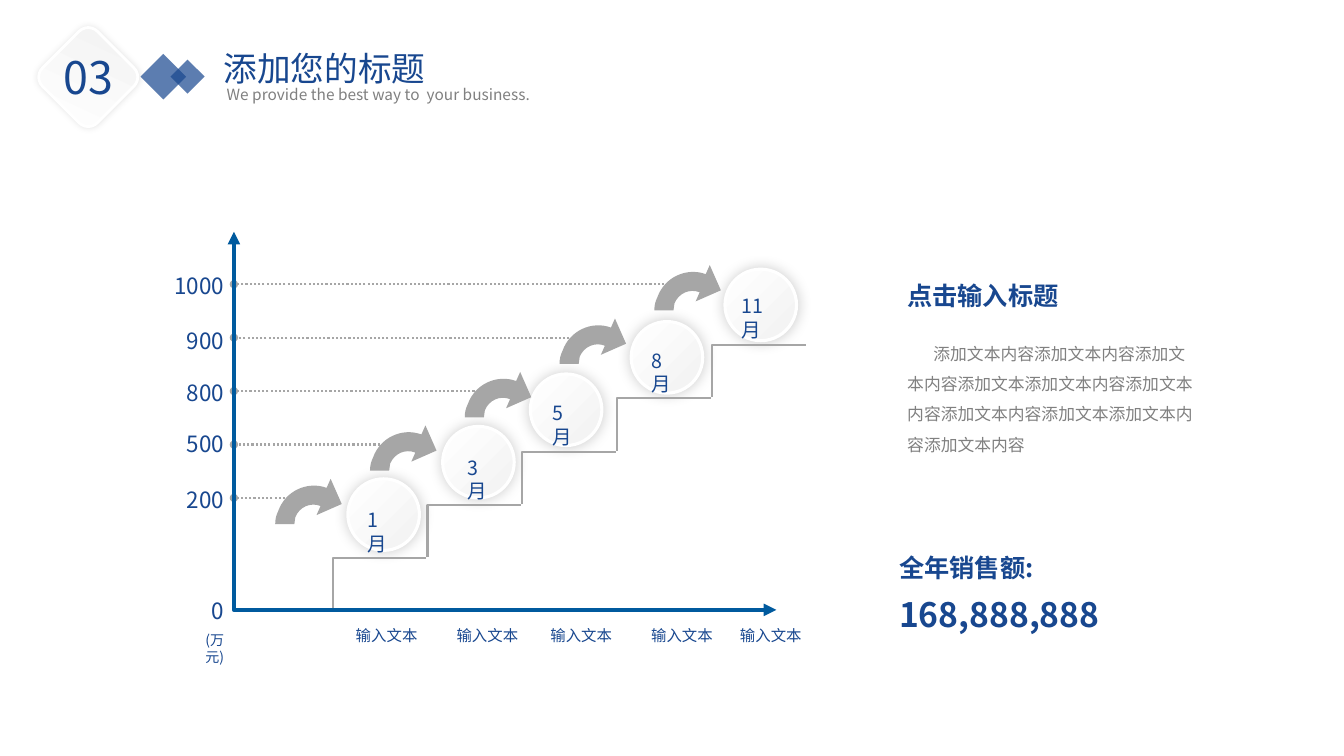
import lxml.etree
import pptx
import pptx.dml.color
import pptx.enum.dml
import pptx.enum.shapes
import pptx.enum.text
import pptx.oxml
import pptx.oxml.ns
import pptx.util

Inches = pptx.util.Inches
Pt = pptx.util.Pt
SHAPES = pptx.enum.shapes.MSO_SHAPE
ALIGN = pptx.enum.text.PP_ALIGN
FONT = "Noto Sans CJK SC"
BLUE, AXIS_BLUE, GRAY, TEXT_GRAY = "18478F", "005A9E", "A6A6A6", "808080"
STEP_WIDTH, STEP_HEIGHT = 0.94, 0.53
MONTHS = [
    ("1月", 3.45, 3.55, 4.99, 3.43),
    ("3月", 4.39, 4.54, 4.47, 4.43),
    ("5月", 5.26, 5.38, 3.93, 5.36),
    ("8月", 6.26, 6.36, 3.41, 6.36),
    ("11月", 7.19, 7.26, 2.87, 7.24),
]
AXIS_LABELS = [("1000", 2.65), ("900", 3.2), ("800", 3.71), ("500", 4.22), ("200", 4.77), ("0", 5.87)]
ARROW_POINTS = [
    (0.45, 0.27), (0.35, 0.23), (0.24, 0.28), (0.2, 0.38), (0.2, 0.4), (0.19, 0.43), (0.19, 0.45),
    (0, 0.45), (0, 0.4), (0.01, 0.36), (0.03, 0.32), (0.1, 0.12), (0.32, 0.02), (0.51, 0.09),
    (0.55, 0), (0.66, 0.25), (0.41, 0.36),
]
ARROW_CURVE_STARTS = (0, 3, 7, 10)


def color(value):
    """Turn a hex string into a colour."""
    return pptx.dml.color.RGBColor.from_string(value)


def add_xml(parent, tag, **attributes):
    """Append a drawing element to a parent element."""
    element = lxml.etree.SubElement(parent, pptx.oxml.ns.qn(tag))
    for name, value in attributes.items():
        element.set(name, str(value))
    return element


def add_text(slide, box, text, size, hex_color=BLUE, bold=False, align=ALIGN.LEFT, wrap=False):
    """Place one paragraph of text and return it."""
    shape = slide.shapes.add_textbox(*map(Inches, box))
    shape.text_frame.word_wrap = wrap
    paragraph = shape.text_frame.paragraphs[0]
    paragraph.text = text
    paragraph.alignment = align
    font = paragraph.font
    font.name, font.size, font.bold = FONT, Pt(size), bold
    font.color.rgb = color(hex_color)
    properties = paragraph._p.get_or_add_pPr().find(pptx.oxml.ns.qn("a:defRPr"))
    add_xml(properties, "a:ea", typeface=FONT)
    return paragraph


def add_badge(slide, kind, box, angle, line, width, opacity, blur):
    """Place a pale gradient shape with a soft shadow."""
    shape = slide.shapes.add_shape(kind, *map(Inches, box))
    shape.fill.gradient()
    shape.fill.gradient_angle = 360 - angle
    for stop, shade in zip(shape.fill.gradient_stops, ("FFFFFF", "F2F2F2")):
        stop.color.rgb = color(shade)
    shape.line.color.rgb = color(line)
    shape.line.width = Pt(width)
    effects = add_xml(shape._element.spPr, "a:effectLst")
    shadow = add_xml(effects, "a:outerShdw", blurRad=Pt(blur), dist=0, algn="ctr", rotWithShape=0)
    add_xml(add_xml(shadow, "a:srgbClr", val="000000"), "a:alpha", val=opacity * 1000)
    return shape


def add_outline(slide, points, close=False):
    """Draw a freeform through points given in inches."""
    corners = [(Inches(x), Inches(y)) for x, y in points]
    builder = slide.shapes.build_freeform(*corners[0])
    builder.add_line_segments(corners[1:], close=close)
    shape = builder.convert_to_shape()
    shape.shadow.inherit = False
    return shape


def add_line_ends(shape, kind):
    """Put the same arrowhead on both ends of a line."""
    line = shape.line._get_or_add_ln()
    for tag in ("a:headEnd", "a:tailEnd"):
        add_xml(line, tag, type=kind)


def add_path(slide, points, hex_color, width):
    """Draw an open unfilled path."""
    shape = add_outline(slide, points)
    shape.fill.background()
    shape.line.color.rgb = color(hex_color)
    shape.line.width = Pt(width)
    return shape


def add_curved_arrow(slide, left, top):
    """Draw a gray arrow that bends up and to the right."""
    shape = add_outline(slide, [(left + x, top + y) for x, y in ARROW_POINTS], close=True)
    segments = list(shape._element.iter(pptx.oxml.ns.qn("a:lnTo")))
    for start in ARROW_CURVE_STARTS:
        first, *others = segments[start:start + 3]
        first.tag = pptx.oxml.ns.qn("a:cubicBezTo")
        for segment in others:
            first.append(segment[0])
            segment.getparent().remove(segment)
    shape.fill.solid()
    shape.fill.fore_color.rgb = color(GRAY)
    shape.line.fill.background()


def add_guide(slide, left, right, top):
    """Draw a dotted guide with round ends."""
    guide = slide.shapes.add_connector(
        pptx.enum.shapes.MSO_CONNECTOR.STRAIGHT, *map(Inches, (right, top, left, top)))
    guide.line.color.rgb = color(GRAY)
    guide.line.width = Pt(1.5)
    guide.line.dash_style = pptx.enum.dml.MSO_LINE.ROUND_DOT
    add_line_ends(guide, "oval")
    add_xml(guide._element.spPr, "a:effectLst")


def add_staircase(slide, left, top, width, height):
    """Draw the staircase chart with its axes and labels."""
    bottom = top + height
    for i, (month, circle_left, *_) in enumerate(MONTHS):
        add_badge(slide, SHAPES.OVAL, (circle_left, bottom - 1.3 - 0.52 * i, 0.71, 0.71),
                  45, "FFFFFF", 2.25, 20, 10)
    for i in range(len(MONTHS)):
        x, y = left + STEP_WIDTH * i, bottom - STEP_HEIGHT * i
        add_path(slide, [(x + 0.98, y + 0.01), (x + 0.98, y - 0.51), (x + 1.91, y - 0.51)], GRAY, 1.5)
        add_curved_arrow(slide, x + 0.41, y - 1.3)
        add_guide(slide, left, x + 0.71, y - 1.11)
    axes = add_path(slide, [(left, top), (left, bottom), (left + width, bottom)], AXIS_BLUE, 3)
    add_line_ends(axes, "triangle")
    for label, label_top in AXIS_LABELS:
        add_text(slide, (left - 0.73, label_top, 0.73, 0.37), label, 16, align=ALIGN.RIGHT)
    add_text(slide, (left - 0.52, bottom + 0.17, 0.52, 0.44), "(万元)", 10, align=ALIGN.RIGHT, wrap=True)
    for month, _, month_left, month_top, caption_left in MONTHS:
        add_text(slide, (month_left, month_top, 0.45, 0.57), month, 14, wrap=True)
        add_text(slide, (caption_left, bottom + 0.11, 0.82, 0.29), "输入文本", 11)


def add_header(slide, left, top):
    """Place the section number, diamonds and title."""
    badge = add_badge(slide, SHAPES.ROUNDED_RECTANGLE, (left, top, 0.77, 0.77), 250, "FFFFFF", 2, 11, 5)
    badge.rotation = 45
    add_text(slide, (left + 0.04, top + 0.06, 0.73, 0.64), "03", 32)
    for offset_x, offset_y, side in ((0.97, 0.22, 0.32), (1.25, 0.26, 0.24)):
        diamond = slide.shapes.add_shape(
            SHAPES.RECTANGLE, *map(Inches, (left + offset_x, top + offset_y, side, side)))
        diamond.rotation = 225
        diamond.shadow.inherit = False
        diamond.fill.solid()
        diamond.fill.fore_color.rgb = color(BLUE)
        add_xml(diamond.fill._xPr.find(".//" + pptx.oxml.ns.qn("a:srgbClr")), "a:alpha", val=70000)
        diamond.line.fill.background()
    add_text(slide, (left + 1.66, top + 0.41, 4.02, 0.29),
             "We provide the best way to  your business.", 11, TEXT_GRAY, wrap=True)
    add_text(slide, (left + 1.63, top + 0.05, 3.25, 0.5), "添加您的标题", 24, wrap=True)


def add_summary(slide, left, top):
    """Place the heading, description and yearly total."""
    add_text(slide, (left, top, 1.73, 0.4), "点击输入标题", 18, bold=True)
    body = add_text(
        slide, (left, top + 0.53, 3.07, 1.31),
        "添加文本内容添加文本内容添加文本内容添加文本添加文本内容添加文本内容添加文本内容添加文本添加文本内容添加文本内容",
        12, TEXT_GRAY, wrap=True)
    body.line_spacing = 1.5
    body._p.get_or_add_pPr().set("indent", str(Inches(0.26)))
    add_text(slide, (left - 0.08, top + 2.7, 1.54, 0.4), "全年销售额:", 18, bold=True)
    add_text(slide, (left - 0.08, top + 3.11, 2.26, 0.5), "168,888,888", 24, bold=True)


def main():
    """Build the slide and save it."""
    presentation = pptx.Presentation()
    presentation.slide_width, presentation.slide_height = Inches(13.33), Inches(7.5)
    slide = presentation.slides.add_slide(presentation.slide_layouts[6])
    add_summary(slide, 8.9, 2.73)
    add_staircase(slide, 2.32, 2.3, 5.38, 3.75)
    add_header(slide, 0.49, 0.38)
    presentation.save("out.pptx")


if __name__ == "__main__":
    main()
